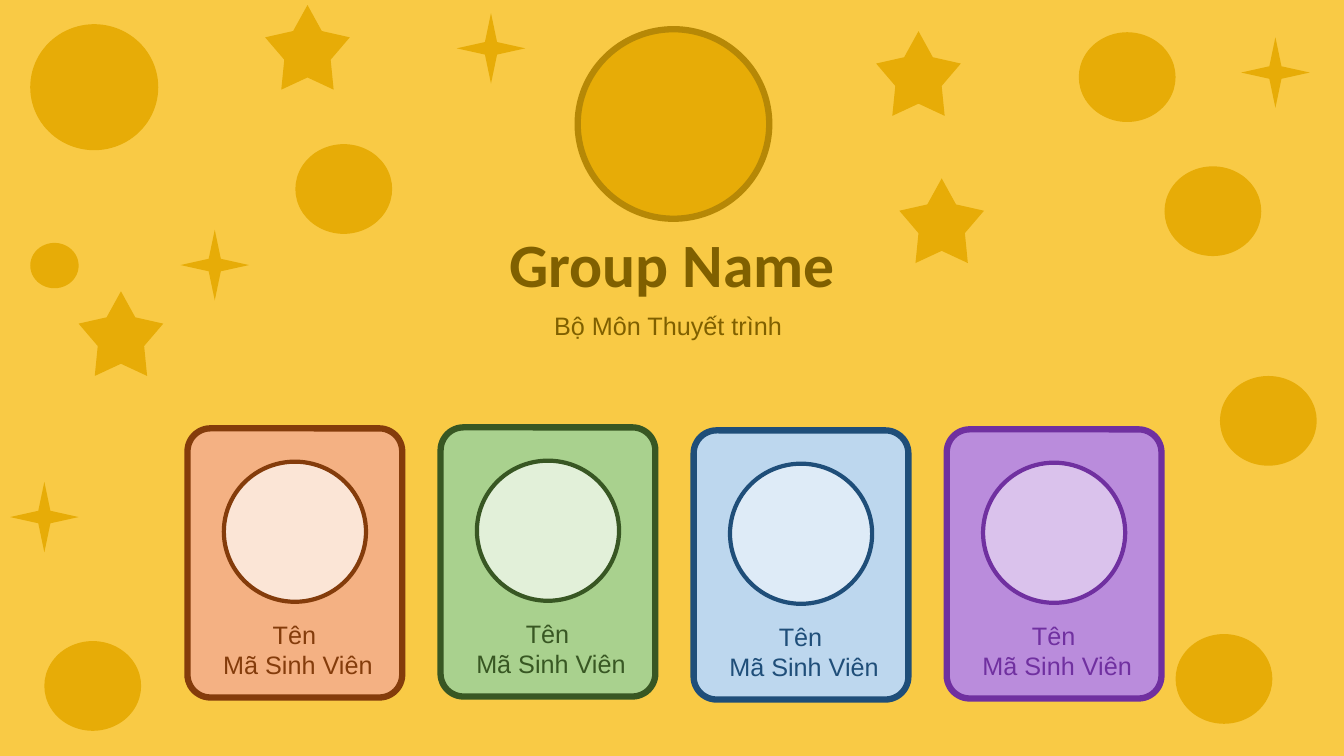
from pptx import Presentation
from pptx.dml.color import RGBColor
from pptx.enum.shapes import MSO_SHAPE
from pptx.enum.text import MSO_ANCHOR, MSO_AUTO_SIZE, PP_ALIGN
from pptx.util import Inches, Pt

# Colours
BACKGROUND = RGBColor(0xF9, 0xCA, 0x45)
GOLD = RGBColor(0xE7, 0xAC, 0x07)
GOLD_LINE = RGBColor(0xB6, 0x88, 0x06)
BROWN = RGBColor(0x80, 0x60, 0x00)

# Content
TITLE = "Group Name"
SUBTITLE = "Bộ Môn Thuyết trình "
MEMBER = ["Tên ", "Mã Sinh Viên"]

# Cards: top, card fill, photo fill, dark colour of lines and text
CARDS = [
    (4.25, RGBColor(0xF4, 0xB1, 0x83), RGBColor(0xFB, 0xE5, 0xD6), RGBColor(0x84, 0x3C, 0x0B)),
    (4.24, RGBColor(0xA9, 0xD1, 0x8E), RGBColor(0xE2, 0xF0, 0xD9), RGBColor(0x38, 0x57, 0x23)),
    (4.27, RGBColor(0xBD, 0xD7, 0xEE), RGBColor(0xDE, 0xEB, 0xF7), RGBColor(0x1F, 0x4E, 0x79)),
    (4.26, RGBColor(0xBA, 0x8C, 0xDC), RGBColor(0xDA, 0xC2, 0xEC), RGBColor(0x70, 0x30, 0xA0)),
]
CARD_LEFT, CARD_STEP = 1.86, 2.51

# Decorations: shape, width, height, first adjustment, (left, top) of each
DECORATIONS = [
    (MSO_SHAPE.OVAL, 1.27, 1.25, None, [(0.3, 0.24)]),
    (MSO_SHAPE.OVAL, 0.48, 0.45, None, [(0.3, 2.41)]),
    (MSO_SHAPE.OVAL, 0.96, 0.89, None,
     [(12.1, 3.73), (0.44, 6.36), (10.7, 0.32), (11.66, 6.29), (2.93, 1.43), (11.55, 1.65)]),
    (MSO_SHAPE.STAR_4_POINT, 0.68, 0.7, 0.125,
     [(0.1, 4.78), (12.31, 0.37), (1.79, 2.28), (4.53, 0.13)]),
    (MSO_SHAPE.STAR_5_POINT, 0.84, 0.84, 0.274,
     [(2.63, 0.05), (0.78, 2.89), (8.69, 0.31), (8.92, 1.77)]),
]


def add_figure(shapes, kind, box, fill, line=None, width=0, adj=None):
    s = shapes.add_shape(kind, *map(Inches, box))
    s.shadow.inherit = False
    s.fill.solid()
    s.fill.fore_color.rgb = fill
    if line is None:
        s.line.fill.background()
    else:
        s.line.color.rgb = line
        s.line.width = Pt(width)
    if adj is not None:
        s.adjustments[0] = adj
    return s


def write(s, lines, size, font, color, bold=False):
    tf = s.text_frame
    tf.word_wrap = True
    tf.auto_size = MSO_AUTO_SIZE.SHAPE_TO_FIT_TEXT
    tf.vertical_anchor = MSO_ANCHOR.TOP
    for i, line in enumerate(lines):
        p = tf.add_paragraph() if i else tf.paragraphs[0]
        p.alignment = PP_ALIGN.CENTER
        r = p.add_run()
        r.text = line
        r.font.size = Pt(size)
        r.font.name = font
        r.font.bold = bold
        r.font.color.rgb = color


def add_card(shapes, left, top, fill, photo, dark):
    card = shapes.add_group_shape().shapes
    add_figure(card, MSO_SHAPE.ROUNDED_RECTANGLE, (left, top, 2.13, 2.67), fill, dark, 4.5, 0.107)
    add_figure(card, MSO_SHAPE.OVAL, (left + 0.36, top + 0.33, 1.41, 1.39), photo, dark, 3)
    label = card.add_textbox(*map(Inches, (left - 0.07, top + 1.84, 2.33, 0.71)))
    write(label, MEMBER, 18, "Arial", dark)


def main():
    prs = Presentation()
    prs.slide_width, prs.slide_height = Inches(13.33), Inches(7.5)
    slide = prs.slides.add_slide(prs.slide_layouts[5])
    slide.background.fill.solid()
    slide.background.fill.fore_color.rgb = BACKGROUND
    shapes = slide.shapes

    # Emblem and headings
    add_figure(shapes, MSO_SHAPE.OVAL, (5.73, 0.29, 1.9, 1.88), GOLD, GOLD_LINE, 4.5)
    title = shapes.title
    title.left, title.top, title.width, title.height = map(Inches, (4.42, 2.19, 4.49, 0.84))
    write(title, [TITLE], 44, "Calibri", BROWN, bold=True)
    subtitle = shapes.add_textbox(*map(Inches, (4.52, 3.03, 4.28, 0.4)))
    write(subtitle, [SUBTITLE], 18, "Arial", BROWN)

    # Scattered circles and stars
    for kind, width, height, adj, places in DECORATIONS:
        for left, top in places:
            add_figure(shapes, kind, (left, top, width, height), GOLD, adj=adj)

    # Member cards
    for i, (top, fill, photo, dark) in enumerate(CARDS):
        add_card(shapes, CARD_LEFT + i * CARD_STEP, top, fill, photo, dark)

    prs.save("out.pptx")


if __name__ == "__main__":
    main()
